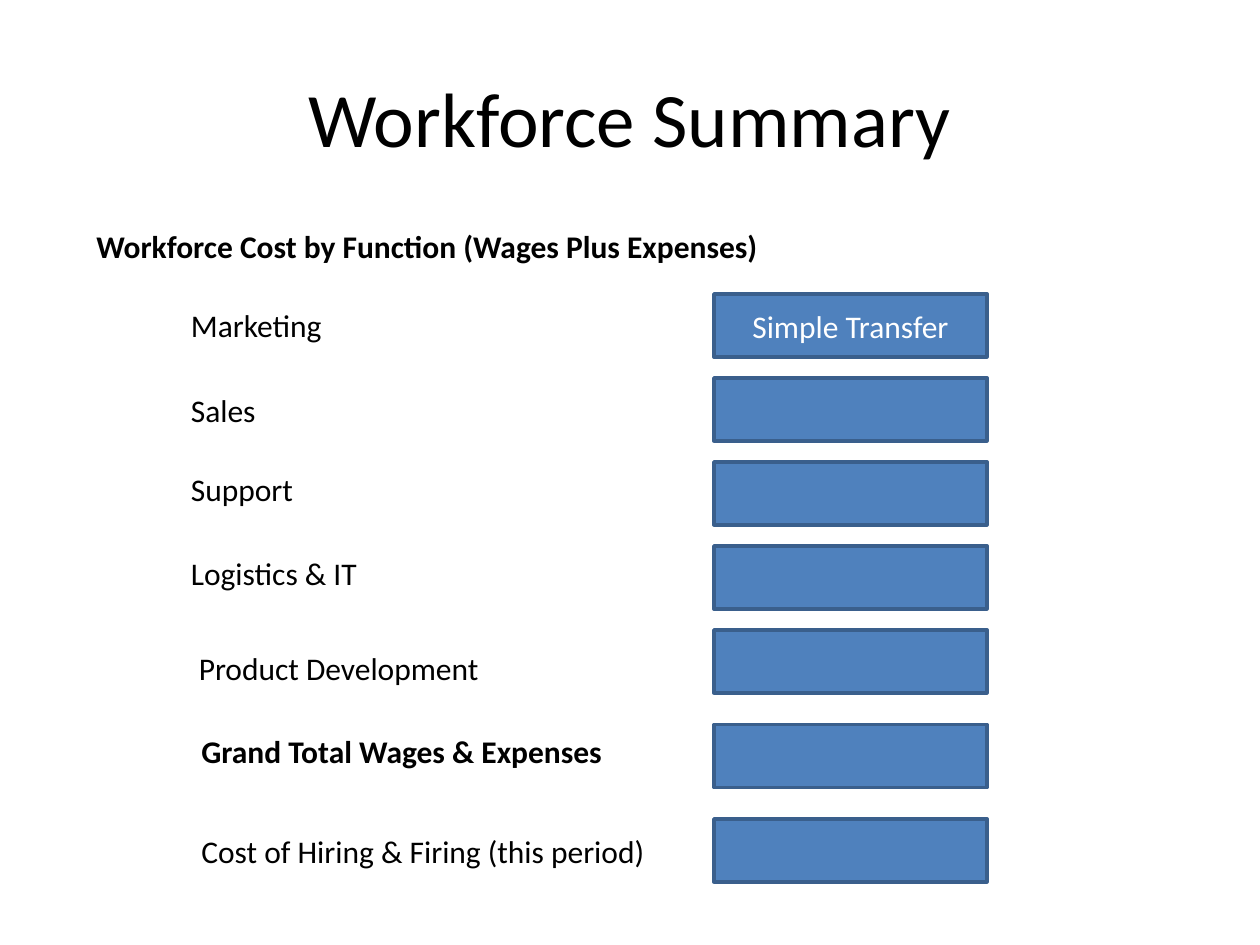
from dataclasses import dataclass

from pptx import Presentation
from pptx.dml.color import RGBColor
from pptx.enum.shapes import MSO_SHAPE
from pptx.enum.text import MSO_ANCHOR, MSO_AUTO_SIZE, PP_ALIGN
from pptx.util import Pt

FONT = "Calibri"
BLACK, WHITE = "000000", "FFFFFF"
BAR_FILL, BAR_LINE = "4F81BD", "3A5F8C"
BAR_LEFT, BAR_WIDTH, BAR_HEIGHT = 408, 156, 36
FIRST_TOP, ROW_STEP, TOTAL_STEP = 168, 48, 54
LABEL_HEIGHT = 29


@dataclass
class CostRow:
    label: str
    left: float
    width: float
    drop: float  # label top below the bar top
    step: float = ROW_STEP  # distance to the next bar
    bold: bool = False
    value: str = ""


COST_ROWS = [
    CostRow("Marketing", 102, 90, 3.4, value="Simple Transfer"),
    CostRow("Sales", 102, 52, 3.6),
    CostRow("Support", 102, 73.5, 1),
    CostRow("Logistics & IT", 102, 110, 1.2),
    CostRow("Product Development", 106.5, 176.5, 7.2, TOTAL_STEP),
    CostRow("Grand Total Wages & Expenses", 108, 245.5, 0.7, TOTAL_STEP, bold=True),
    CostRow("Cost of Hiring & Firing (this period)", 108, 271, 3.6),
]


def color(value: str) -> RGBColor:
    return RGBColor.from_string(value)


def add_text(frame, text: str, size: float = 18, ink: str = BLACK,
             bold: bool = False, align=PP_ALIGN.LEFT) -> None:
    para = frame.paragraphs[0]
    para.alignment = align
    span = para.add_run()
    span.text = text
    span.font.name = FONT
    span.font.size = Pt(size)
    span.font.bold = bold
    span.font.color.rgb = color(ink)


def add_label(page, text: str, left: float, top: float, width: float,
              bold: bool = False) -> None:
    box = page.shapes.add_textbox(Pt(left), Pt(top), Pt(width), Pt(LABEL_HEIGHT))
    box.text_frame.word_wrap = False
    box.text_frame.auto_size = MSO_AUTO_SIZE.SHAPE_TO_FIT_TEXT
    add_text(box.text_frame, text, bold=bold)


def add_bar(page, top: float, value: str) -> None:
    bar = page.shapes.add_shape(MSO_SHAPE.RECTANGLE, Pt(BAR_LEFT), Pt(top),
                                Pt(BAR_WIDTH), Pt(BAR_HEIGHT))
    bar.shadow.inherit = False
    bar.fill.solid()
    bar.fill.fore_color.rgb = color(BAR_FILL)
    bar.line.color.rgb = color(BAR_LINE)
    bar.line.width = Pt(2)
    bar.text_frame.vertical_anchor = MSO_ANCHOR.MIDDLE
    if value:
        add_text(bar.text_frame, value, ink=WHITE, align=PP_ALIGN.CENTER)


deck = Presentation()
deck.slide_width, deck.slide_height = Pt(720), Pt(540)
page = deck.slides.add_slide(deck.slide_layouts.get_by_name("Title Only"))

# Title
title = page.shapes.title
title.left, title.top, title.width, title.height = Pt(36), Pt(21.6), Pt(648), Pt(90)
title.text_frame.vertical_anchor = MSO_ANCHOR.MIDDLE
add_text(title.text_frame, "Workforce Summary", size=44, align=PP_ALIGN.CENTER)

# Section heading
add_label(page, "Workforce Cost by Function (Wages Plus Expenses)",
          48, 126, 396, bold=True)

# Cost rows: a label and its value bar
top = FIRST_TOP
for row in COST_ROWS:
    add_bar(page, top, row.value)
    add_label(page, row.label, row.left, top + row.drop, row.width, row.bold)
    top += row.step

deck.save("out.pptx")
